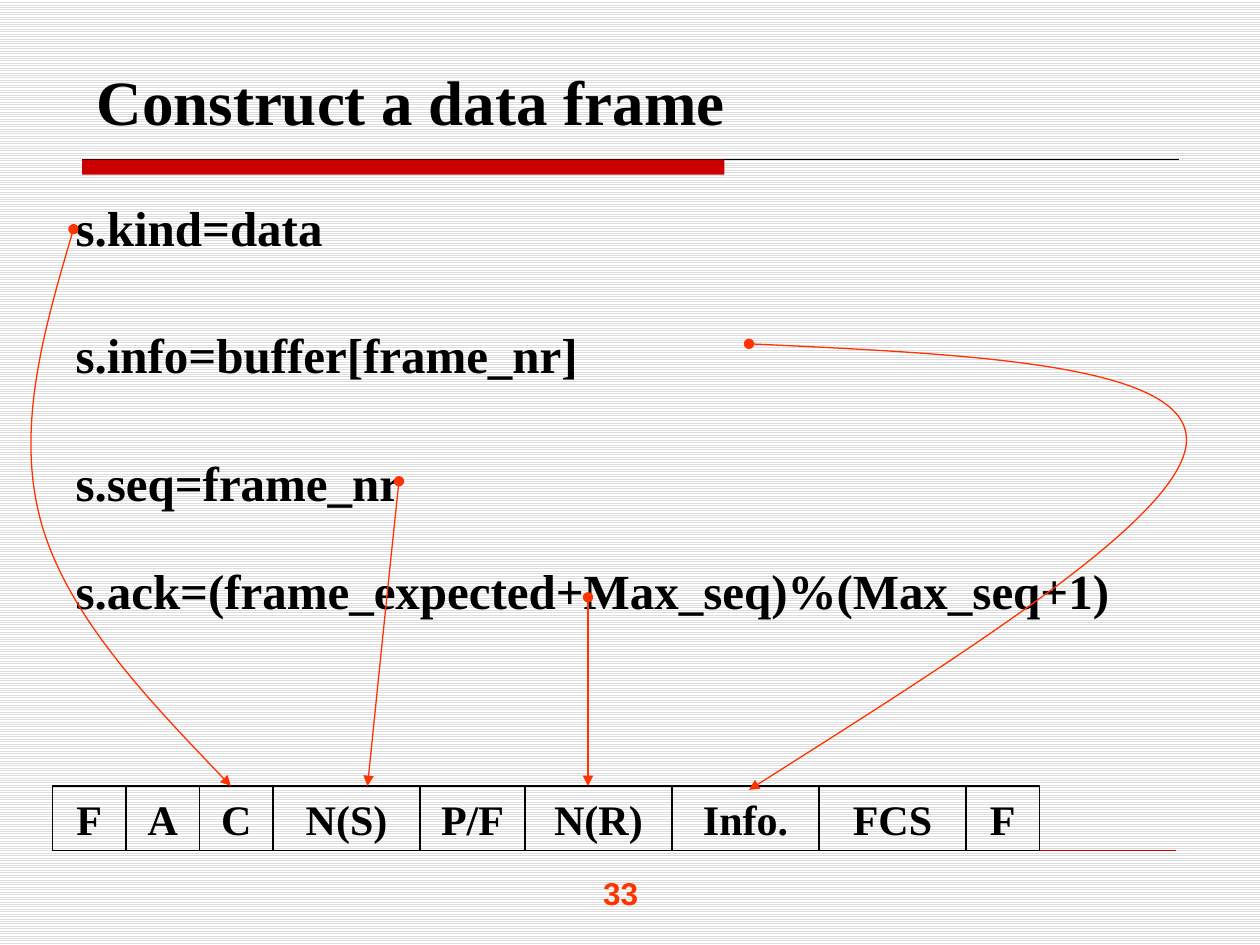
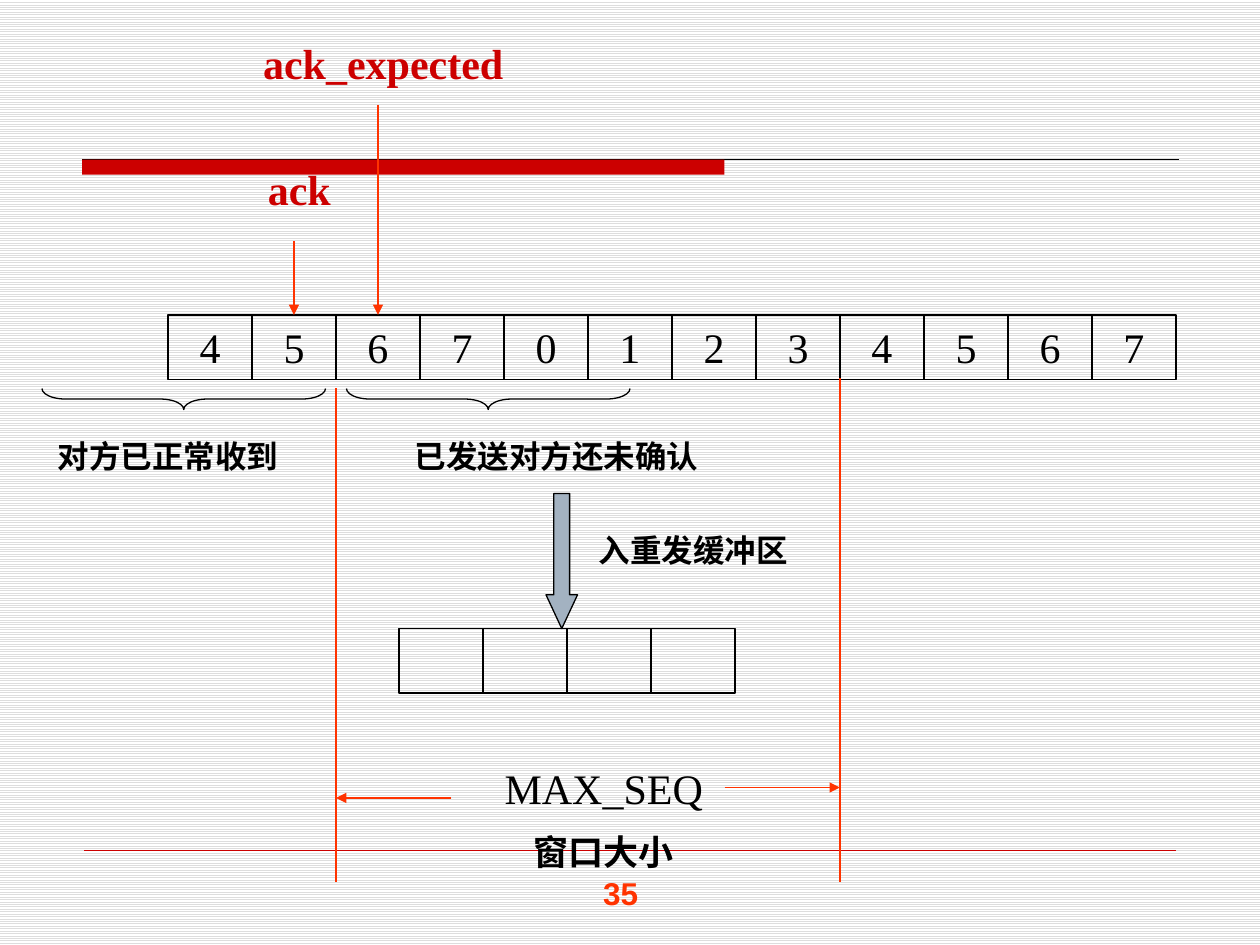
from itertools import accumulate

from lxml.etree import SubElement
from pptx import Presentation
from pptx.dml.color import RGBColor
from pptx.enum.dml import MSO_PATTERN
from pptx.enum.shapes import MSO_CONNECTOR, MSO_SHAPE
from pptx.enum.text import MSO_ANCHOR, MSO_AUTO_SIZE, PP_ALIGN
from pptx.oxml.ns import qn
from pptx.util import Pt

SERIF, SANS = "Times New Roman", "Arial"
BLACK, RED, ORANGE, STEEL = "000000", "CC0000", "FF3300", "A3B2C1"
CELL_HEIGHT = 36.8
SLOT_WIDTH = 48
TITLE_AND_CONTENT, BLANK = 1, 6


def color(hex_string):
    return RGBColor.from_string(hex_string)


class Deck:
    def __init__(self):
        self.presentation = Presentation()
        self.presentation.slide_width = Pt(720)
        self.presentation.slide_height = Pt(540)
        self.slide = None
        fill = self.presentation.slide_master.background.fill
        fill.patterned()
        fill.pattern = MSO_PATTERN.LIGHT_HORIZONTAL
        fill.fore_color.rgb = color("DDDDDD")
        fill.back_color.rgb = color("FFFFFF")

    def new_slide(self, layout, number):
        layouts = self.presentation.slide_layouts
        self.slide = self.presentation.slides.add_slide(layouts[layout])
        self.line((47, 91.2), (673.6, 91.2), BLACK)
        self.shape(MSO_SHAPE.RECTANGLE, 47, 91.2, 367, 8.6, fill=RED, line=None)
        self.line((48, 486), (672, 486), RED, width=0.25)
        self.text([number], 337.5, 496, 54, 29, 18, ORANGE, font=SANS, align=PP_ALIGN.LEFT)

    def format(self, paragraph, size, text_color=BLACK, bold=True, font=SERIF,
               align=PP_ALIGN.CENTER, space_before=0):
        paragraph.alignment = align
        paragraph.space_before = Pt(space_before)
        paragraph.font.name = font
        paragraph.font.size = Pt(size)
        paragraph.font.bold = bold
        paragraph.font.color.rgb = color(text_color)

    def text(self, lines, left, top, width, height, size, text_color=BLACK, **style):
        box = self.slide.shapes.add_textbox(Pt(left), Pt(top), Pt(width), Pt(height))
        box.text_frame.word_wrap = True
        box.text_frame.text = "\n".join(lines)
        for paragraph in box.text_frame.paragraphs:
            self.format(paragraph, size, text_color, **style)
        return box

    def placeholder(self, index, lines, left, top, width, height, size, gaps):
        holder = self.slide.placeholders[index]
        holder.left, holder.top = Pt(left), Pt(top)
        holder.width, holder.height = Pt(width), Pt(height)
        frame = holder.text_frame
        frame.text = "\n".join(lines)
        frame.auto_size = MSO_AUTO_SIZE.NONE
        frame.vertical_anchor = MSO_ANCHOR.TOP
        for paragraph, gap in zip(frame.paragraphs, gaps):
            self.format(paragraph, size, align=PP_ALIGN.LEFT, space_before=gap)
            properties = paragraph._p.get_or_add_pPr()
            properties.set("marL", "0")
            properties.set("indent", "0")
            SubElement(properties, qn("a:buNone"))

    def outline(self, shape, line_color, width=0.75, head=None, tail=None):
        shape.line.color.rgb = color(line_color)
        shape.line.width = Pt(width)
        for tag, kind in (("a:headEnd", head), ("a:tailEnd", tail)):
            if kind:
                SubElement(shape.line._get_or_add_ln(), qn(tag), type=kind)

    def shape(self, kind, left, top, width, height, fill=None, line=BLACK, adjustments=()):
        shape = self.slide.shapes.add_shape(kind, Pt(left), Pt(top), Pt(width), Pt(height))
        shape.shadow.inherit = False
        if fill:
            shape.fill.solid()
            shape.fill.fore_color.rgb = color(fill)
        else:
            shape.fill.background()
        if line:
            self.outline(shape, line)
        else:
            shape.line.fill.background()
        for index, value in enumerate(adjustments):
            shape.adjustments[index] = value
        return shape

    def cells(self, labels, widths, left, top, bold=True):
        row = []
        for label, width, end in zip(labels, widths, accumulate(widths)):
            cell = self.shape(MSO_SHAPE.RECTANGLE, left + end - width, top, width, CELL_HEIGHT)
            if label:
                cell.text_frame.text = label
                self.format(cell.text_frame.paragraphs[0], 24, bold=bold)
            row.append(cell)
        return row

    def line(self, start, end, line_color=ORANGE, target=None, **style):
        points = [Pt(value) for value in (*start, *end)]
        connector = self.slide.shapes.add_connector(MSO_CONNECTOR.STRAIGHT, *points)
        if target:
            connector.end_connect(target, 0)
        self.outline(connector, line_color, **style)
        SubElement(connector._element.spPr, qn("a:effectLst"))

    def curve(self, start, *points):
        builder = self.slide.shapes.build_freeform(Pt(start[0]), Pt(start[1]))
        builder.add_line_segments([(Pt(x), Pt(y)) for x, y in points], close=False)
        shape = builder.convert_to_shape()
        shape.shadow.inherit = False
        shape.fill.background()
        self.outline(shape, ORANGE, head="oval", tail="triangle")
        segments = list(shape._element.iter(qn("a:lnTo")))
        outline = segments[0].getparent()
        for first in range(0, len(segments), 3):
            bezier = SubElement(outline, qn("a:cubicBezTo"))
            for segment in segments[first:first + 3]:
                bezier.append(segment[0])
                outline.remove(segment)

    def brace(self, center, middle, span, depth):
        brace = self.shape(MSO_SHAPE.LEFT_BRACE, center - depth / 2, middle - span / 2,
                           depth, span, adjustments=(1.125, 0.5))
        brace.rotation = 270


def build_data_frame(deck):
    deck.new_slide(TITLE_AND_CONTENT, "33")
    deck.placeholder(0, ["Construct a data frame"], 48, 32, 594, 50, 36, [0])
    assignments = ["s.kind=data", "s.info=buffer[frame_nr]", "s.seq=frame_nr",
                   "s.ack=(frame_expected+Max_seq)%(Max_seq+1)"]
    deck.placeholder(1, assignments, 36, 109, 624, 244, 28, [0, 39.5, 39.5, 28])

    fields = ["F", "A", "C", "N(S)", "P/F", "N(R)", "Info.", "FCS", "F"]
    widths = [42, 42, 42, 84, 60, 84, 84, 84, 42]
    deck.cells(fields, widths, 30, 449.2)

    deck.curve((42, 131), (25, 188.6), (8.6, 246.2), (23.8, 299.5),
               (39, 352), (85.7, 401), (132, 449.2))
    deck.curve((428, 196.5), (553, 202.3), (678, 208), (678, 251.3),
               (678, 293.8), (553, 372.2), (428, 451.4))
    deck.curve((228, 275), (220.3, 347.8), (213, 420.5), (210, 449.2))
    deck.line((336, 341.3), (336, 449.2), head="oval", tail="triangle")


def build_sending_window(deck):
    deck.new_slide(BLANK, "35")
    numbers = deck.cells("456701234567", [SLOT_WIDTH] * 12, 96, 180, bold=False)
    deck.text(["ack"], 144, 90, 54, 36, 24, RED)
    deck.text(["ack_expected"], 126, 18, 186, 36, 24, RED)
    deck.line((168, 138), (168, 180), target=numbers[1], tail="triangle")
    deck.line((216, 60), (216, 180), target=numbers[2], tail="triangle")

    deck.line((192, 222), (192, 504))
    deck.line((480, 216), (480, 504))
    deck.cells([""] * 4, [SLOT_WIDTH] * 4, 228, 359.2)
    deck.shape(MSO_SHAPE.DOWN_ARROW, 312, 282, 18, 77.2, fill=STEEL, adjustments=(0.5, 1.07))
    for center in (105, 279):
        deck.brace(center, 228, 162, 12)

    deck.text(["对方已正常收到"], 18, 246, 156, 29, 18)
    deck.text(["已发送对方还未确认"], 210, 246, 216, 29, 18)
    deck.text(["入重发缓冲区"], 330, 300, 132, 29, 18)

    deck.line((414, 450), (480, 450), tail="triangle")
    deck.line((258, 456), (192, 456), tail="triangle")
    size_label = deck.text(["MAX_SEQ", "窗口大小"], 276, 432, 138, 72, 24, bold=False)
    deck.format(size_label.text_frame.paragraphs[1], 20, space_before=10)


def main():
    deck = Deck()
    build_data_frame(deck)
    build_sending_window(deck)
    deck.presentation.save("out.pptx")


if __name__ == "__main__":
    main()
